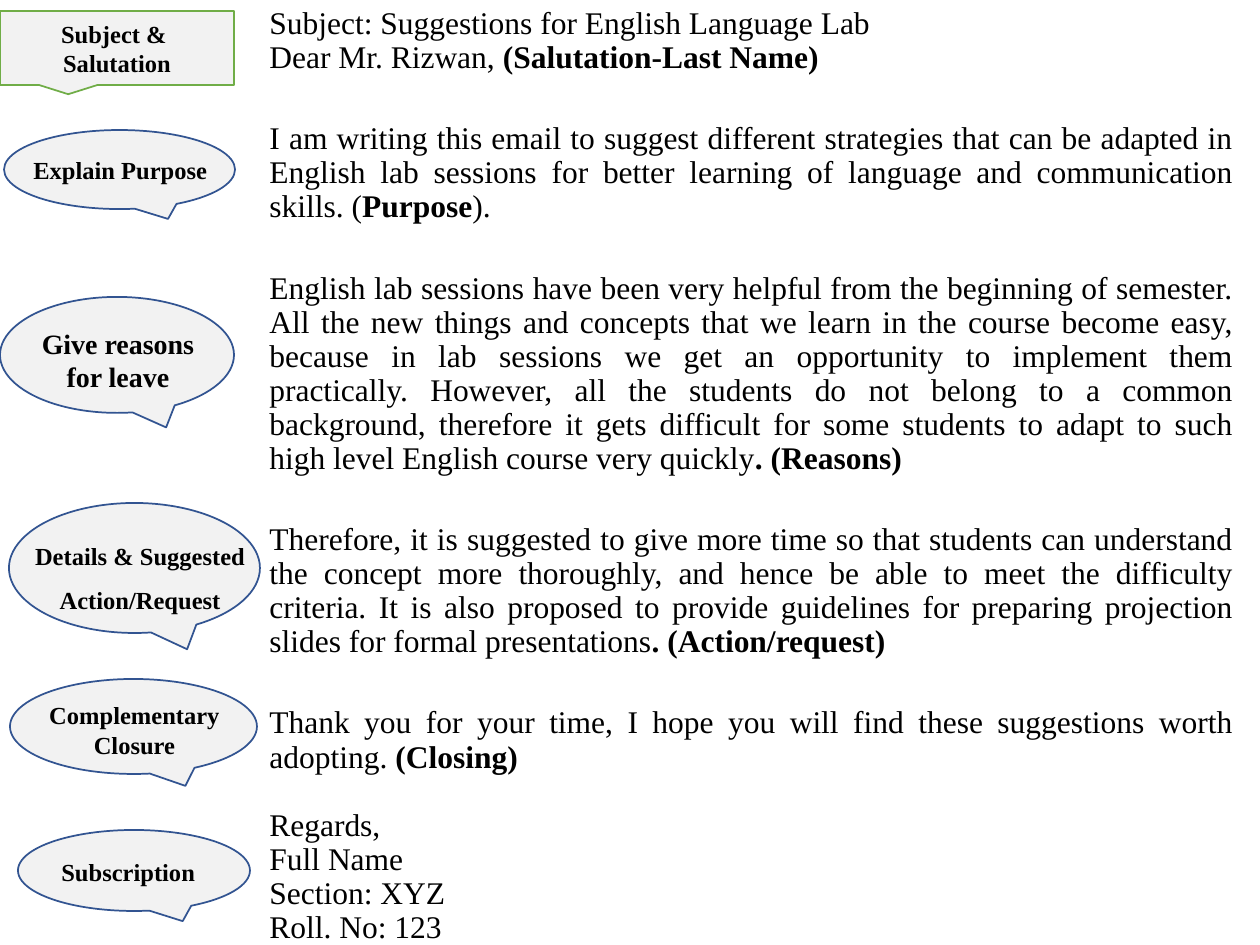
from dataclasses import dataclass

from pptx import Presentation
from pptx.dml.color import RGBColor
from pptx.enum.shapes import MSO_SHAPE
from pptx.enum.text import MSO_ANCHOR, PP_ALIGN
from pptx.util import Pt

PX = 914400 / 126


@dataclass(frozen=True)
class Theme:
    font: str = "Times New Roman"
    ink: str = "000000"
    callout_fill: str = "F2F2F2"
    oval_line: str = "325491"
    box_line: str = "70AD47"
    body_size: int = 18
    label_size: int = 14
    large_label_size: int = 16
    section_gap: float = 27
    regards_gap: float = 19.5


THEME = Theme()

# Each section: space before it, then its paragraphs as (plain, bold, plain) spans
LETTER = [
    (0, [("Subject: Suggestions for English Language Lab",),
         ("Dear Mr. Rizwan, ", "(Salutation-Last Name)")]),
    (THEME.section_gap, [
        ("I am writing this email to suggest different strategies that can be adapted in "
         "English lab sessions for better learning of language and communication skills. (",
         "Purpose", ").")]),
    (THEME.section_gap, [
        ("English lab sessions have been very helpful from the beginning of semester. "
         "All the new things and concepts that we learn in the course become easy, "
         "because in lab sessions we get an opportunity to implement them practically. "
         "However, all the students do not belong to a common background, therefore it "
         "gets difficult for some students to adapt to such high level English course "
         "very quickly", ". (Reasons)")]),
    (THEME.section_gap, [
        ("Therefore, it is suggested to give more time so that students can understand "
         "the concept more thoroughly, and hence be able to meet the difficulty criteria. "
         "It is also proposed to provide guidelines for preparing projection slides for "
         "formal presentations", ". (Action/request)")]),
    (THEME.section_gap, [
        ("Thank you for your time, I hope you will find these suggestions worth adopting. ",
         "(Closing)")]),
    (THEME.regards_gap, [("Regards,",), ("Full Name",), ("Section: XYZ",),
                         ("Roll. No: 123",)]),
]
LETTER_PLACE = (257, 1, 989, 687)

# Oval place, label place, label text, label format
OVALS = [
    ((4, 130, 231, 79), (21, 149, 200, 43), "Explain Purpose", {"align": PP_ALIGN.LEFT}),
    ((0, 297, 234, 116), (16, 320, 204, 81), "Give reasons for leave",
     {"size": THEME.large_label_size}),
    ((9, 503, 251, 130), (-39, 520, 310, 97), "Details & Suggested Action/Request",
     {"line_spacing": 1.5, "indent": 48}),
    ((10, 679, 247, 95), (10, 694, 249, 72), "Complementary Closure", {}),
    ((18, 830, 232, 81), (49, 851, 174, 43), "Subscription", {"align": PP_ALIGN.LEFT}),
]
HEADING_PLACE = (0, 11, 234, 74)
HEADING = ["Subject & ", "Salutation"]


def px(value):
    return round(value * PX)


def emu(place):
    return [px(value) for value in place]


def write(para, spans, size=THEME.label_size, bold=True, align=PP_ALIGN.CENTER,
          line_spacing=None, space_before=0):
    """Fill a paragraph; every second span takes the opposite weight."""
    para.alignment = align
    if line_spacing:
        para.line_spacing = line_spacing
    if space_before:
        para.space_before = Pt(space_before)
    for index, text in enumerate(spans):
        span = para.add_run()
        span.text = text
        span.font.name = THEME.font
        span.font.size = Pt(size)
        span.font.bold = bold != bool(index % 2)
        span.font.color.rgb = RGBColor.from_string(THEME.ink)


def next_para(frame, index):
    return frame.add_paragraph() if index else frame.paragraphs[0]


def add_box(page, place):
    frame = page.shapes.add_textbox(*emu(place)).text_frame
    frame.word_wrap = True
    return frame


def add_callout(page, kind, place, line):
    callout = page.shapes.add_shape(kind, *emu(place))
    callout.shadow.inherit = False
    callout.fill.solid()
    callout.fill.fore_color.rgb = RGBColor.from_string(THEME.callout_fill)
    callout.line.color.rgb = RGBColor.from_string(line)
    callout.line.width = Pt(1)
    return callout


def add_letter(page):
    frame = add_box(page, LETTER_PLACE)
    count = 0
    for gap, paragraphs in LETTER:
        for index, spans in enumerate(paragraphs):
            write(next_para(frame, count), spans, size=THEME.body_size, bold=False,
                  align=PP_ALIGN.JUSTIFY, line_spacing=0.9,
                  space_before=0 if index else gap)
            count += 1


def add_oval(page, oval_place, label_place, text, indent=0, **style):
    oval = add_callout(page, MSO_SHAPE.OVAL_CALLOUT, oval_place, THEME.oval_line)
    oval.adjustments[0] = 0.21  # tail points to the lower right
    frame = add_box(page, label_place)
    frame.margin_left += px(indent)
    write(frame.paragraphs[0], [text], **style)


def add_heading(page):
    callout = add_callout(page, MSO_SHAPE.RECTANGULAR_CALLOUT, HEADING_PLACE, THEME.box_line)
    frame = callout.text_frame
    frame.vertical_anchor = MSO_ANCHOR.MIDDLE
    for index, text in enumerate(HEADING):
        write(next_para(frame, index), [text])


def main():
    deck = Presentation()
    deck.slide_width, deck.slide_height = px(1260), px(945)
    page = deck.slides.add_slide(deck.slide_layouts[6])
    add_letter(page)
    for oval_place, label_place, text, style in OVALS:
        add_oval(page, oval_place, label_place, text, **style)
    add_heading(page)
    deck.save("out.pptx")


if __name__ == "__main__":
    main()
